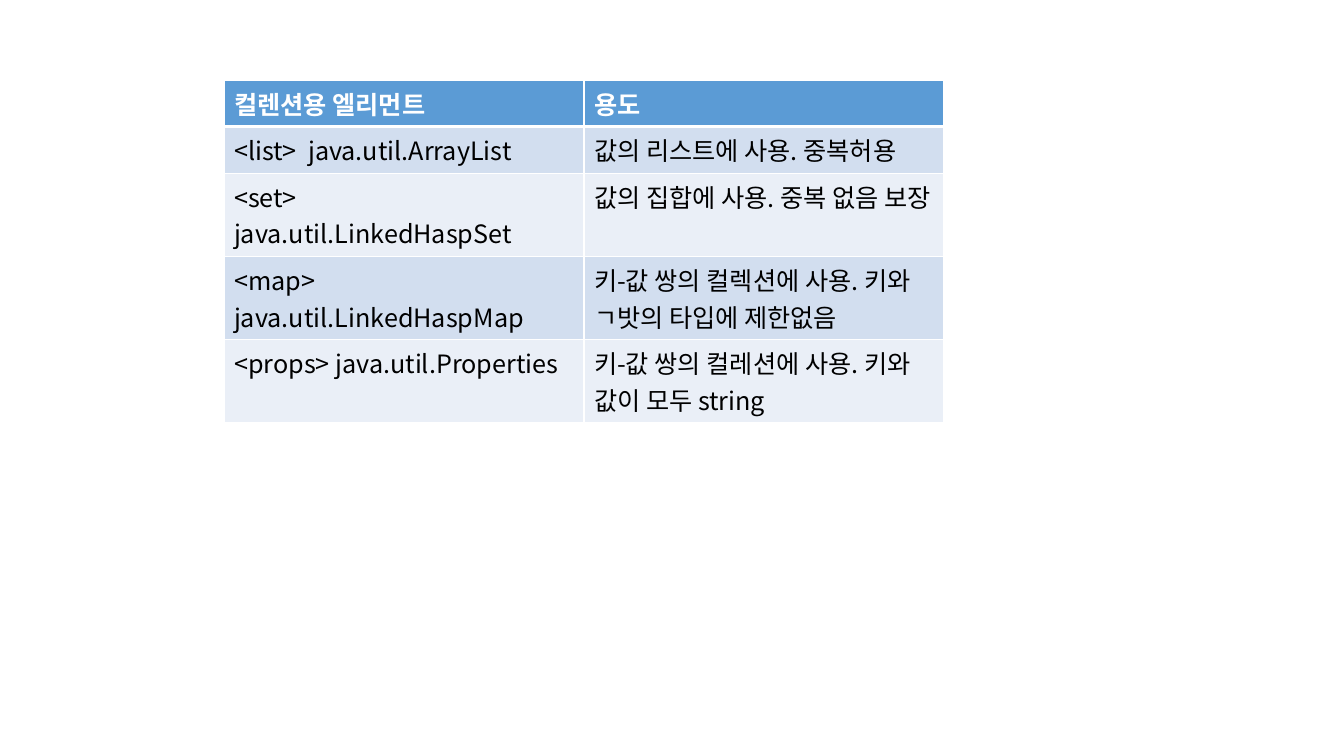
from dataclasses import dataclass

from lxml import etree
from pptx import Presentation
from pptx.dml.color import RGBColor
from pptx.oxml.ns import qn
from pptx.util import Pt

SCALE = 914400 / 100.8
BLANK = 6


@dataclass(frozen=True)
class Theme:
    font: str = "Noto Sans CJK KR"
    size: int = 18
    head: str = "5B9BD5"
    bands: tuple = ("D2DEEF", "EAEFF7")
    light: str = "FFFFFF"
    dark: str = "000000"
    thin: int = 1
    thick: int = 3


THEME = Theme()

ROWS = [
    ("컬렌션용 엘리먼트", "용도"),
    ("<list>  java.util.ArrayList", "값의 리스트에 사용. 중복허용"),
    ("<set> java.util.LinkedHaspSet", "값의 집합에 사용. 중복 없음 보장"),
    ("<map>\njava.util.LinkedHaspMap",
     "키-값 쌍의 컬렉션에 사용. 키와 ㄱ밧의 타입에 제한없음"),
    ("<props> java.util.Properties",
     "키-값 쌍의 컬레션에 사용. 키와 값이 모두 string"),
]


def px(count):
    return round(count * SCALE)


def set_font(run, color, bold):
    font = run.font
    font.name = THEME.font
    font.size = Pt(THEME.size)
    font.bold = bold
    font.color.rgb = RGBColor.from_string(color)
    east = etree.SubElement(run._r.get_or_add_rPr(), qn("a:ea"))
    east.set("typeface", THEME.font)


def set_edges(cell, top, bottom):
    props = cell._tc.get_or_add_tcPr()
    widths = {"L": THEME.thin, "R": THEME.thin, "T": top, "B": bottom}
    for index, (side, width) in enumerate(widths.items()):
        line = etree.Element(qn(f"a:ln{side}"), w=str(Pt(width)))
        fill = etree.SubElement(line, qn("a:solidFill"))
        etree.SubElement(fill, qn("a:srgbClr"), val=THEME.light)
        props.insert(index, line)


def fill_cell(cell, text, row):
    head = row == 0
    cell.text_frame.text = text
    cell.fill.solid()
    shade = THEME.head if head else THEME.bands[(row - 1) % 2]
    cell.fill.fore_color.rgb = RGBColor.from_string(shade)
    for para in cell.text_frame.paragraphs:
        for run in para.runs:
            set_font(run, THEME.light if head else THEME.dark, head)
    set_edges(cell, THEME.thick if row == 1 else THEME.thin,
              THEME.thick if head else THEME.thin)


def add_grid(slide, rows, left, top, width, height):
    count = len(rows[0])
    frame = slide.shapes.add_table(
        len(rows), count, px(left), px(top),
        px(width * count), px(height * len(rows)))
    for row, texts in enumerate(rows):
        for col, text in enumerate(texts):
            fill_cell(frame.table.cell(row, col), text, row)


def main():
    deck = Presentation()
    deck.slide_width, deck.slide_height = px(1344), px(756)
    slide = deck.slides.add_slide(deck.slide_layouts[BLANK])
    add_grid(slide, ROWS, left=224, top=80, width=360, height=41)
    deck.save("out.pptx")


if __name__ == "__main__":
    main()
